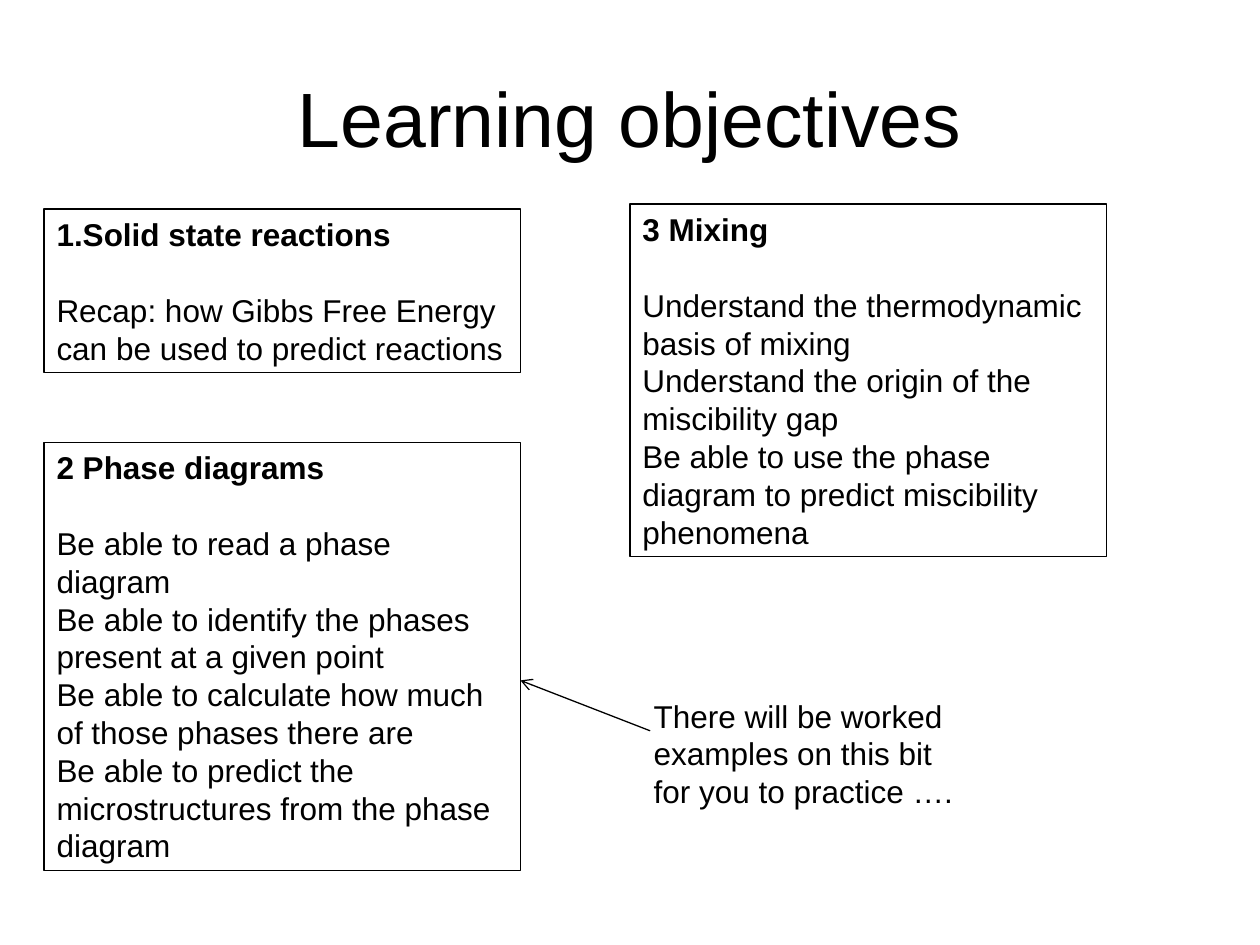
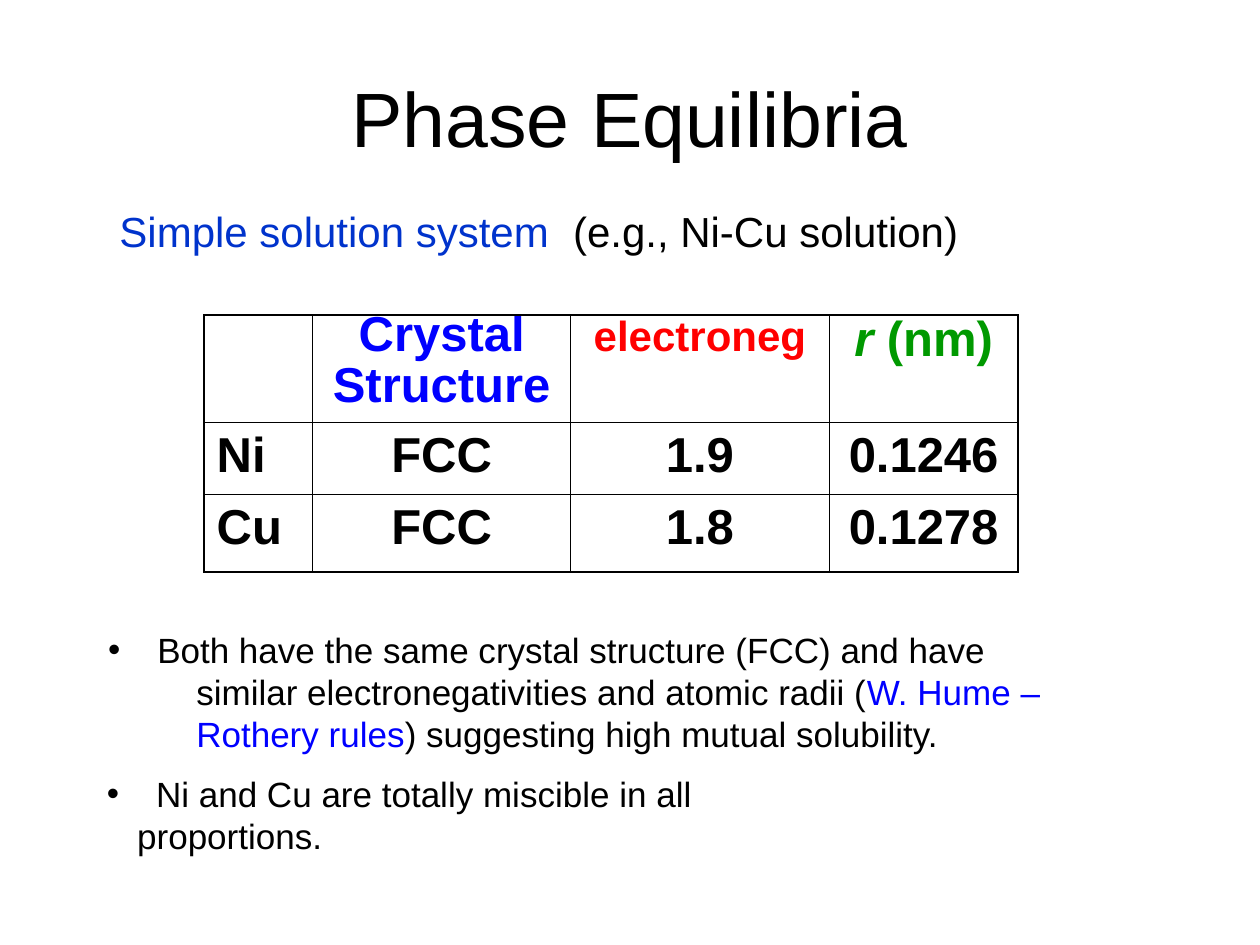
from dataclasses import dataclass
from typing import Optional

from lxml.etree import SubElement
from pptx import Presentation
from pptx.dml.color import RGBColor
from pptx.enum.shapes import MSO_CONNECTOR, MSO_SHAPE
from pptx.enum.text import MSO_ANCHOR, PP_ALIGN
from pptx.oxml.ns import qn
from pptx.util import Emu, Pt

PX = 9144
FONT = "Arial"
LEADING = 1.2
BLACK = RGBColor(0x00, 0x00, 0x00)
BLUE = RGBColor(0x00, 0x00, 0xFF)
ROYAL = RGBColor(0x00, 0x33, 0xCC)
RED = RGBColor(0xFF, 0x00, 0x00)
GREEN = RGBColor(0x00, 0x99, 0x00)


@dataclass(frozen=True)
class Box:
    left: int
    top: int
    width: int
    height: int

    def emu(self) -> tuple:
        return tuple(px(n) for n in (self.left, self.top, self.width, self.height))


@dataclass(frozen=True)
class Run:
    text: str
    color: RGBColor = BLACK
    bold: bool = False
    italic: bool = False


@dataclass(frozen=True)
class Para:
    runs: tuple
    before: float = 0
    margin: int = 0
    bullet: bool = False
    tab: Optional[int] = None


@dataclass(frozen=True)
class Objective:
    box: Box
    heading: str
    goals: tuple


@dataclass(frozen=True)
class Cell:
    lines: tuple
    size: int = 28
    spacing: float = 1.0
    align: PP_ALIGN = PP_ALIGN.CENTER


TITLE_BOX = Box(50, 30, 900, 125)

OBJECTIVES = (
    Objective(Box(35, 166, 378, 130), "1.Solid state reactions",
              ("Recap: how Gibbs Free Energy can be used to predict reactions",)),
    Objective(Box(35, 351, 378, 340), "2 Phase diagrams",
              ("Be able to read a phase diagram",
               "Be able to identify the phases present at a given point",
               "Be able to calculate how much of those phases there are",
               "Be able to predict the microstructures from the phase diagram")),
    Objective(Box(500, 162, 378, 280), "3 Mixing",
              ("Understand the thermodynamic basis of mixing",
               "Understand the origin of the miscibility gap",
               "Be able to use the phase diagram to predict miscibility phenomena")),
)

PRACTICE_NOTE = ("There will be worked", "examples on this bit", "for you to practice ….")

TABLE_BOX = Box(162, 250, 646, 204)
COLUMNS = (86, 205, 205, 150)
ROWS = (85, 57, 62)
HEADER = (
    Cell(()),
    Cell(((Run("Crystal", BLUE),), (Run("Structure", BLUE),)), spacing=0.7),
    Cell(((Run("electroneg", RED),),), 24, 0.8),
    Cell(((Run("r", GREEN, italic=True), Run(" (nm)", GREEN)),), spacing=0.8),
)
METALS = (("Ni", "FCC", "1.9", "0.1246"), ("Cu", "FCC", "1.8", "0.1278"))

BULLET_BOXES = (
    (Box(76, 494, 790, 110), (
        Para((Run("Both have the same crystal structure (FCC) and have"),),
             margin=39, bullet=True),
        Para((Run("similar electronegativities and atomic radii ("),
              Run("W. Hume – Rothery rules", BLUE),
              Run(") suggesting high mutual solubility.")), margin=70))),
    (Box(75, 608, 625, 77), (
        Para((Run("Ni and Cu are totally miscible in all"),), margin=39, bullet=True),
        Para((Run("proportions."),), margin=24))),
)


def px(n: int) -> Emu:
    """Turn px into EMU."""
    return Emu(n * PX)


def add_runs(p, runs: tuple, size: int) -> None:
    """Append formatted runs to a paragraph."""
    for run in runs:
        r = p.add_run()
        r.text = run.text
        r.font.name, r.font.size = FONT, Pt(size)
        r.font.bold, r.font.italic = run.bold, run.italic
        r.font.color.rgb = run.color


def fill_text(s, paras: tuple, size: int, align=PP_ALIGN.LEFT, anchor=MSO_ANCHOR.TOP) -> None:
    """Write paragraphs with even leading into a shape."""
    tf = s.text_frame
    tf.word_wrap = True
    tf.vertical_anchor = anchor
    for i, para in enumerate(paras):
        p = tf.add_paragraph() if i else tf.paragraphs[0]
        pPr = p._p.get_or_add_pPr()
        pPr.set("marL", str(px(para.margin)))
        if para.bullet:
            pPr.set("indent", str(-px(para.margin)))
            SubElement(pPr, qn("a:buFont"), typeface=FONT)
            SubElement(pPr, qn("a:buChar"), char="•")
        if para.tab:
            tabs = SubElement(pPr, qn("a:tabLst"))
            SubElement(tabs, qn("a:tab"), pos=str(px(para.tab)), algn="l")
        p.alignment = align
        p.line_spacing = Pt(size * LEADING)
        if para.before:
            p.space_before = Pt(para.before)
        add_runs(p, para.runs, size)


def add_text(slide, box: Box, paras: tuple, size: int, **style) -> None:
    """Place a text box."""
    fill_text(slide.shapes.add_textbox(*box.emu()), paras, size, **style)


def add_slide(prs, title: str):
    """Add a blank slide with the shared title style."""
    slide = prs.slides.add_slide(prs.slide_layouts[6])
    add_text(slide, TITLE_BOX, (Para((Run(title),)),), 44,
             align=PP_ALIGN.CENTER, anchor=MSO_ANCHOR.MIDDLE)
    return slide


def add_objective(slide, objective: Objective) -> None:
    """Draw an outlined box with a heading and its goals."""
    s = slide.shapes.add_shape(MSO_SHAPE.RECTANGLE, *objective.box.emu())
    s.shadow.inherit = False
    s.fill.background()
    s.line.color.rgb, s.line.width = BLACK, Pt(0.75)
    size = 18
    goals = tuple(Para((Run(goal),), before=0 if i else size * LEADING)
                  for i, goal in enumerate(objective.goals))
    fill_text(s, (Para((Run(objective.heading, bold=True),)), *goals), size)


def add_arrow(slide, start: tuple, end: tuple) -> None:
    """Draw a thin line with an open arrowhead at its end."""
    s = slide.shapes.add_connector(MSO_CONNECTOR.STRAIGHT, *map(px, start + end))
    s.line.color.rgb, s.line.width = BLACK, Pt(0.75)
    SubElement(s.line._get_or_add_ln(), qn("a:tailEnd"), type="arrow")
    SubElement(s._element.spPr, qn("a:effectLst"))


def set_borders(cell, row: int, col: int) -> None:
    """Give a cell thin inner and thicker outer borders."""
    outer = {"L": col == 0, "R": col == len(COLUMNS) - 1,
             "T": row == 0, "B": row == len(ROWS) - 1}
    tcPr = cell._tc.get_or_add_tcPr()
    for side, is_outer in outer.items():
        ln = SubElement(tcPr, qn(f"a:ln{side}"), w=str(Pt(1.08 if is_outer else 0.45)))
        SubElement(SubElement(ln, qn("a:solidFill")), qn("a:srgbClr"), val=str(BLACK))


def fill_cell(cell, content: Cell) -> None:
    """Write bold lines into a table cell."""
    for i, runs in enumerate(content.lines):
        p = cell.text_frame.add_paragraph() if i else cell.text_frame.paragraphs[0]
        p.alignment, p.line_spacing = content.align, content.spacing
        if i:
            p.space_before = Pt(7)
        add_runs(p, runs, content.size)
        for r in p.runs:
            r.font.bold = True


def add_metals_table(slide) -> None:
    """Draw the table that compares the two metals."""
    table = slide.shapes.add_table(len(ROWS), len(COLUMNS), *TABLE_BOX.emu()).table
    table.first_row = table.horz_banding = False
    for column, width in zip(table.columns, COLUMNS):
        column.width = px(width)
    for row, height in zip(table.rows, ROWS):
        row.height = px(height)
    body = tuple(tuple(Cell(((Run(value),),), align=PP_ALIGN.CENTER if col else PP_ALIGN.LEFT)
                       for col, value in enumerate(values)) for values in METALS)
    for row, contents in enumerate((HEADER, *body)):
        for col, content in enumerate(contents):
            cell = table.cell(row, col)
            set_borders(cell, row, col)
            cell.fill.background()
            fill_cell(cell, content)


def build_objectives(prs) -> None:
    """Build the learning objectives slide."""
    slide = add_slide(prs, "Learning objectives")
    for objective in OBJECTIVES:
        add_objective(slide, objective)
    add_arrow(slide, (516, 580), (413, 540))
    add_text(slide, Box(509, 548, 270, 100),
             tuple(Para((Run(line),)) for line in PRACTICE_NOTE), 18)


def build_equilibria(prs) -> None:
    """Build the phase equilibria slide."""
    slide = add_slide(prs, "Phase Equilibria")
    add_metals_table(slide)
    heading = Run("Simple solution system", ROYAL), Run("\t(e.g., Ni-Cu solution)")
    add_text(slide, Box(85, 158, 720, 50), (Para(heading, tab=360),), 24)
    for box, paras in BULLET_BOXES:
        add_text(slide, box, paras, 20)


def main() -> None:
    """Build and save the deck."""
    prs = Presentation()
    prs.slide_width, prs.slide_height = px(1000), px(750)
    build_objectives(prs)
    build_equilibria(prs)
    prs.save("out.pptx")


if __name__ == "__main__":
    main()
